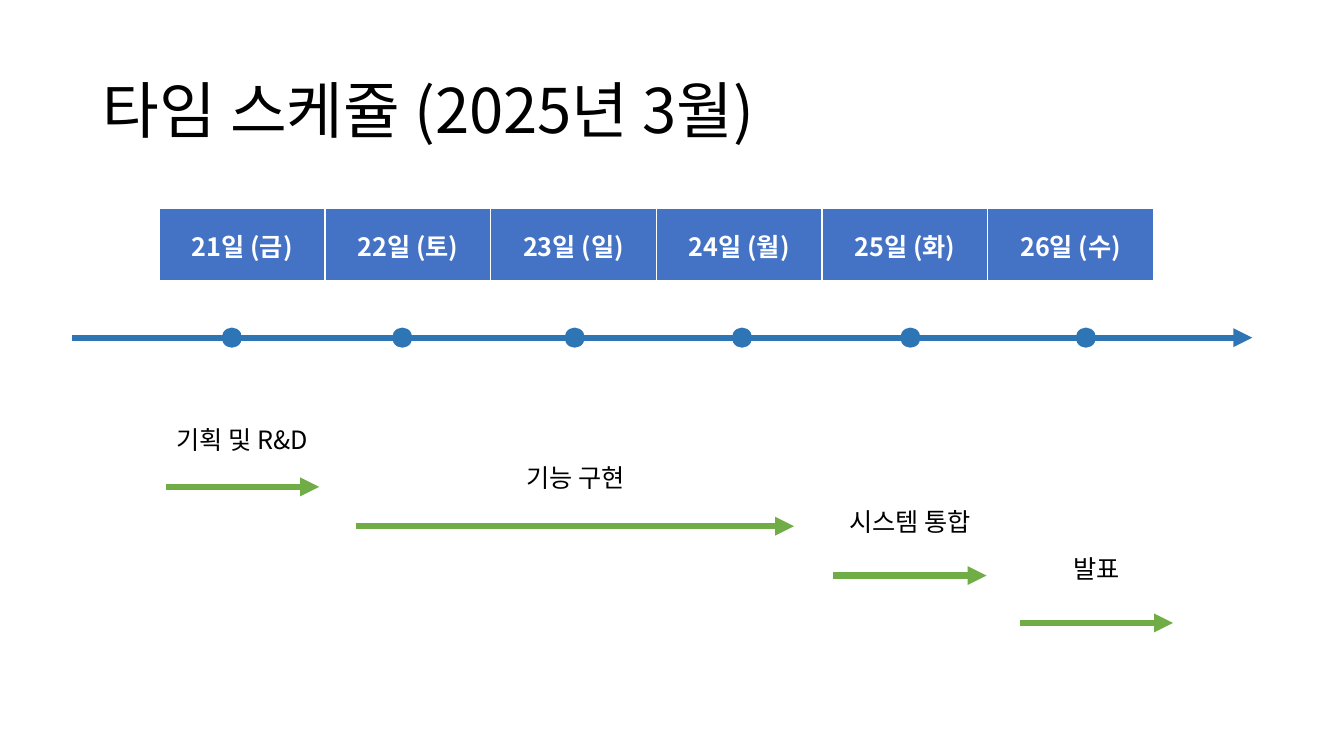
import pptx
import pptx.util
import pptx.dml.color
import pptx.enum.text
import pptx.enum.shapes
import pptx.oxml.ns
import lxml.etree
from dataclasses import dataclass

Inches = pptx.util.Inches
Pt = pptx.util.Pt
Align = pptx.enum.text.PP_ALIGN
Anchor = pptx.enum.text.MSO_ANCHOR
Shape = pptx.enum.shapes.MSO_SHAPE
qn = pptx.oxml.ns.qn


@dataclass(frozen=True)
class Theme:
    font: str = "Noto Sans CJK KR"
    ink: str = "000000"
    white: str = "FFFFFF"
    head: str = "4472C4"
    axis: str = "2E75B6"
    task: str = "70AD47"
    title: int = 44
    body: int = 18
    line: float = 4.5


THEME = Theme()
DAYS = ["21일 (금)", "22일 (토)", "23일 (일)", "24일 (월)", "25일 (화)", "26일 (수)"]
DOTS = [1.59, 3.28, 4.99, 6.65, 8.32, 10.06]
TASKS = [
    ("기획 및 R&D", (1.54, 4.16, 1.73, 0.4), 1.52, 0.67),
    ("기능 구현", (4.14, 4.54, 3.13, 0.4), 4.34, 0.68),
    ("시스템 통합", (8.16, 4.97, 1.73, 0.4), 1.52, 0.74),
    ("발표", (10.01, 5.44, 1.73, 0.4), 1.52, 0.74),
]


def color(code):
    return pptx.dml.color.RGBColor.from_string(code)


def child(node, tag, **attrs):
    return lxml.etree.SubElement(node, qn(tag), attrs)


def write(frame, text, size, ink, align, bold=False):
    frame.text = text
    frame.word_wrap = True
    frame.vertical_anchor = Anchor.MIDDLE
    para = frame.paragraphs[0]
    para.alignment = align
    font = para.font
    font.size = Pt(size)
    font.bold = bold
    font.color.rgb = color(ink)
    font.name = THEME.font
    props = para._p.pPr.find(qn("a:defRPr"))
    child(props, "a:ea", typeface=THEME.font)
    return para


def arrow(shapes, left, top, width, ink):
    y = Inches(top)
    line = shapes.add_connector(
        pptx.enum.shapes.MSO_CONNECTOR.STRAIGHT, Inches(left), y, Inches(left + width), y
    )
    line.line.color.rgb = color(ink)
    line.line.width = Pt(THEME.line)
    child(line.line._get_or_add_ln(), "a:tailEnd", type="triangle")
    child(line._element.spPr, "a:effectLst")


def add_title(slide, box):
    title = slide.shapes.title
    title.left, title.top, title.width, title.height = map(Inches, box)
    para = write(title.text_frame, "타임 스케쥴 (2025년 3월)", THEME.title, THEME.ink, Align.LEFT)
    para.line_spacing = 0.9


def add_edges(cell):
    props = cell._tc.get_or_add_tcPr()
    for i, (side, width) in enumerate((("L", 1), ("R", 1), ("T", 1), ("B", 3))):
        edge = lxml.etree.Element(qn(f"a:ln{side}"), w=str(Pt(width)))
        child(child(edge, "a:solidFill"), "a:srgbClr", val=THEME.white)
        props.insert(i, edge)


def add_days(slide, box):
    left, top, width, height = map(Inches, box)
    table = slide.shapes.add_table(1, len(DAYS), left, top, width, height).table
    table.horz_banding = False
    for i, day in enumerate(DAYS):
        table.columns[i].width = width // len(DAYS)
        cell = table.cell(0, i)
        cell.fill.solid()
        cell.fill.fore_color.rgb = color(THEME.head)
        cell.vertical_anchor = Anchor.MIDDLE
        write(cell.text_frame, day, THEME.body, THEME.white, Align.CENTER, True)
        add_edges(cell)


def add_axis(slide, box):
    left, top, width, size = box
    shapes = slide.shapes.add_group_shape().shapes
    arrow(shapes, left, top + size / 2, width, THEME.axis)
    for x in DOTS:
        dot = shapes.add_shape(
            Shape.FLOWCHART_CONNECTOR, Inches(left + x - size / 2), Inches(top), Inches(size), Inches(size)
        )
        dot.shadow.inherit = False
        dot.fill.solid()
        dot.fill.fore_color.rgb = color(THEME.axis)
        dot.line.fill.background()


def add_task(slide, box, text, length, drop):
    left, top, width, height = box
    label = slide.shapes.add_textbox(*map(Inches, box))
    write(label.text_frame, text, THEME.body, THEME.ink, Align.CENTER)
    label.text_frame.auto_size = pptx.enum.text.MSO_AUTO_SIZE.SHAPE_TO_FIT_TEXT
    arrow(slide.shapes, left + (width - length) / 2, top + drop, length, THEME.task)


def main():
    deck = pptx.Presentation()
    deck.slide_width, deck.slide_height = Inches(13.33), Inches(7.5)
    slide = deck.slides.add_slide(deck.slide_layouts[5])
    add_title(slide, (0.92, 0.4, 11.5, 1.45))
    add_days(slide, (1.58, 2.07, 9.86, 0.73))
    add_axis(slide, (0.71, 3.25, 11.71, 0.2))
    for text, box, length, drop in TASKS:
        add_task(slide, box, text, length, drop)
    deck.save("out.pptx")


if __name__ == "__main__":
    main()
